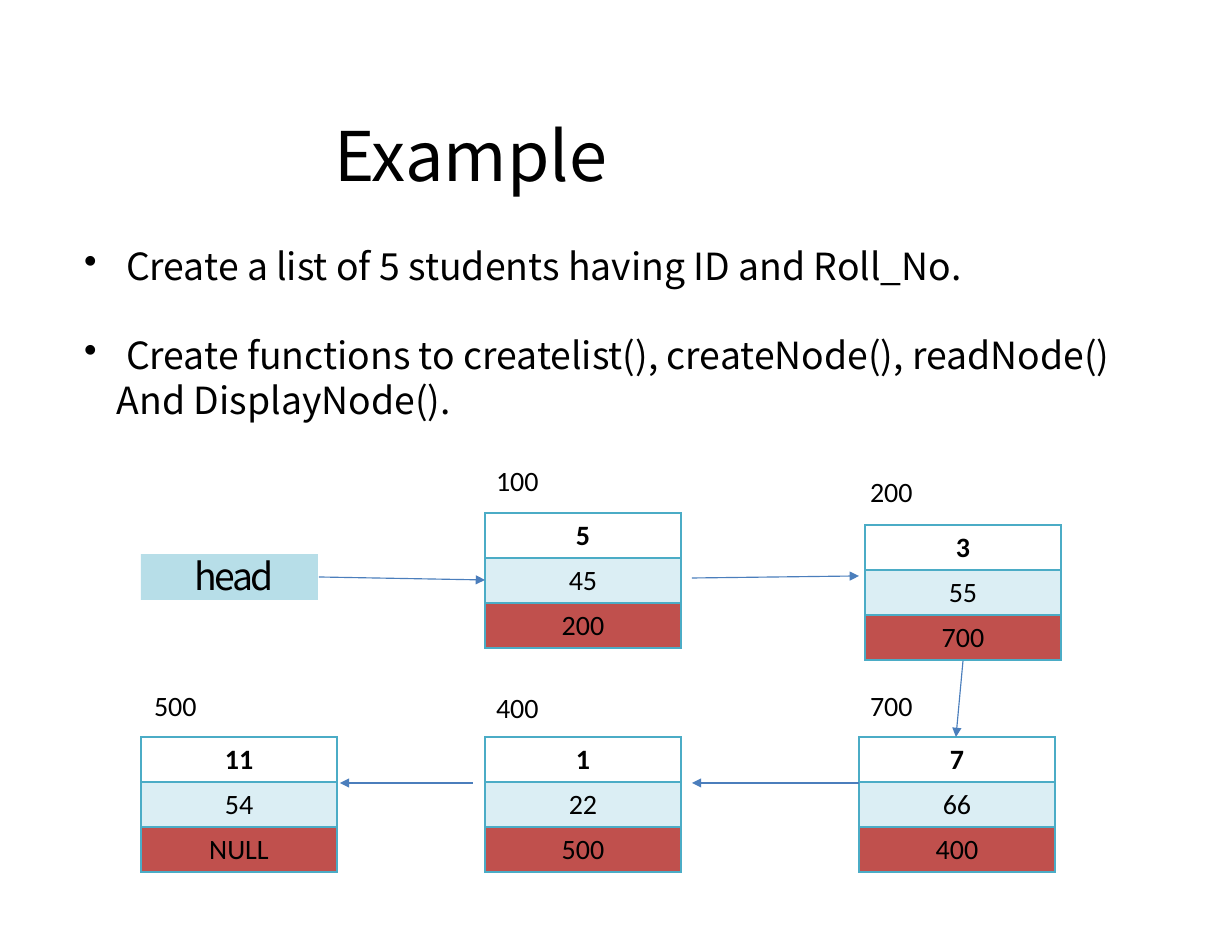
"""Build a slide showing a linked list of five students."""
import pptx
import pptx.util
import pptx.oxml.ns
import pptx.dml.color
import pptx.enum.shapes
import pptx.enum.text
import lxml.etree

BLACK = pptx.dml.color.RGBColor(0x00, 0x00, 0x00)
RED = pptx.dml.color.RGBColor(0xC0, 0x50, 0x4D)
TEAL = pptx.dml.color.RGBColor(0x4B, 0xAC, 0xC6)
PALE_TEAL = pptx.dml.color.RGBColor(0xDB, 0xEE, 0xF4)
HEAD_BLUE = pptx.dml.color.RGBColor(0xB7, 0xDE, 0xE8)
ARROW_BLUE = pptx.dml.color.RGBColor(0x4B, 0x7E, 0xBC)
PX = 914400 / 112
SANS = "Noto Sans CJK KR"
LEFT = pptx.enum.text.PP_ALIGN.LEFT
CENTER = pptx.enum.text.PP_ALIGN.CENTER


def px(*lengths):
    return [round(length * PX) for length in lengths]


def write(para, text, size, name, align=LEFT, bold=False):
    para.text = text
    para.alignment = align
    para.font.size = pptx.util.Pt(size)
    para.font.name = name
    para.font.bold = bold
    para.font.color.rgb = BLACK


deck = pptx.Presentation()
deck.slide_width, deck.slide_height = px(1232, 952)
page = deck.slides.add_slide(deck.slide_layouts[5])
shapes = page.shapes

title = shapes.title
title.left, title.top, title.width, title.height = px(221, 113, 791, 85)
body = shapes.add_textbox(*px(84, 243, 1036, 181))
head = shapes.add_shape(pptx.enum.shapes.MSO_SHAPE.RECTANGLE, *px(141, 554, 177, 46))
head.shadow.inherit = False
head.fill.solid()
head.fill.fore_color.rgb = HEAD_BLUE
head.line.fill.background()
for shape, inset in ((title, 113), (body, 0), (head, 54)):
    frame = shape.text_frame
    frame.word_wrap = True
    frame.auto_size = pptx.enum.text.MSO_AUTO_SIZE.NONE
    frame.vertical_anchor = pptx.enum.text.MSO_ANCHOR.TOP
    frame.margin_left = px(inset)[0]
    frame.margin_right = frame.margin_top = frame.margin_bottom = 0

write(title.text_frame.paragraphs[0], "Example", 44, SANS)
head_para = head.text_frame.paragraphs[0]
write(head_para, "head", 24, SANS)
head_para.line_spacing = pptx.util.Pt(28.3)
head_para.runs[0].font._element.set("spc", "-170")

lines = (
    ("Create a list of 5 students having ID and Roll_No.", True, 0),
    ("Create functions to createlist(), createNode(), readNode()", True, 28.8),
    ("And DisplayNode().", False, 0),
)
for index, (text, bulleted, gap) in enumerate(lines):
    para = body.text_frame.add_paragraph() if index else body.text_frame.paragraphs[0]
    write(para, text, 24, SANS)
    para.space_before = pptx.util.Pt(gap)
    properties = para._p.get_or_add_pPr()
    margin, indent = px(42, -42) if bulleted else px(33, 0)
    properties.set("marL", str(margin))
    properties.set("indent", str(indent))
    if bulleted:
        bullet = pptx.oxml.ns.qn("a:buChar")
        properties.insert_element_before(
            lxml.etree.Element(bullet, char="•"), "a:tabLst", "a:defRPr", "a:extLst")

nodes = (
    ("100", 485, 458, 485, 513, ("5", "45", "200")),
    ("200", 859, 469, 865, 525, ("3", "55", "700")),
    ("700", 859, 683, 859, 737, ("7", "66", "400")),
    ("400", 485, 685, 485, 737, ("1", "22", "500")),
    ("500", 143, 683, 141, 737, ("11", "54", "NULL")),
)
row_fills = (None, PALE_TEAL, RED)
for address, label_x, label_y, node_x, node_y, values in nodes:
    label = shapes.add_textbox(*px(label_x, label_y, 75, 45))
    label.text_frame.word_wrap = True
    write(label.text_frame.paragraphs[0], address, 18, "Calibri")

    node = shapes.add_table(3, 1, *px(node_x, node_y, 196, 135)).table
    node.first_row = node.horz_banding = False
    for index, (value, color) in enumerate(zip(values, row_fills)):
        cell = node.cell(index, 0)
        write(cell.text_frame.paragraphs[0], value, 18, "Calibri", CENTER, index == 0)
        properties = cell._tc.get_or_add_tcPr()
        for side in ("lnL", "lnR", "lnT", "lnB"):
            thick = (index, side) in ((0, "lnB"), (1, "lnT"))
            border = lxml.etree.SubElement(
                properties, pptx.oxml.ns.qn("a:" + side), w="25400" if thick else "12700")
            paint = lxml.etree.SubElement(border, pptx.oxml.ns.qn("a:solidFill"))
            lxml.etree.SubElement(paint, pptx.oxml.ns.qn("a:srgbClr"), val=str(TEAL))
        if color is None:
            cell.fill.background()
        else:
            cell.fill.solid()
            cell.fill.fore_color.rgb = color

links = (
    (319, 577, 485, 580),
    (692, 578, 859, 576),
    (963, 661, 956, 737),
    (859, 783, 692, 783),
    (473, 783, 340, 783),
)
for ends in links:
    arrow = shapes.add_connector(pptx.enum.shapes.MSO_CONNECTOR.STRAIGHT, *px(*ends))
    arrow.line.color.rgb = ARROW_BLUE
    arrow.line.width = pptx.util.Pt(0.75)
    lxml.etree.SubElement(
        arrow.line._get_or_add_ln(), pptx.oxml.ns.qn("a:tailEnd"), type="triangle")
    lxml.etree.SubElement(arrow._element.spPr, pptx.oxml.ns.qn("a:effectLst"))

deck.save("out.pptx")
